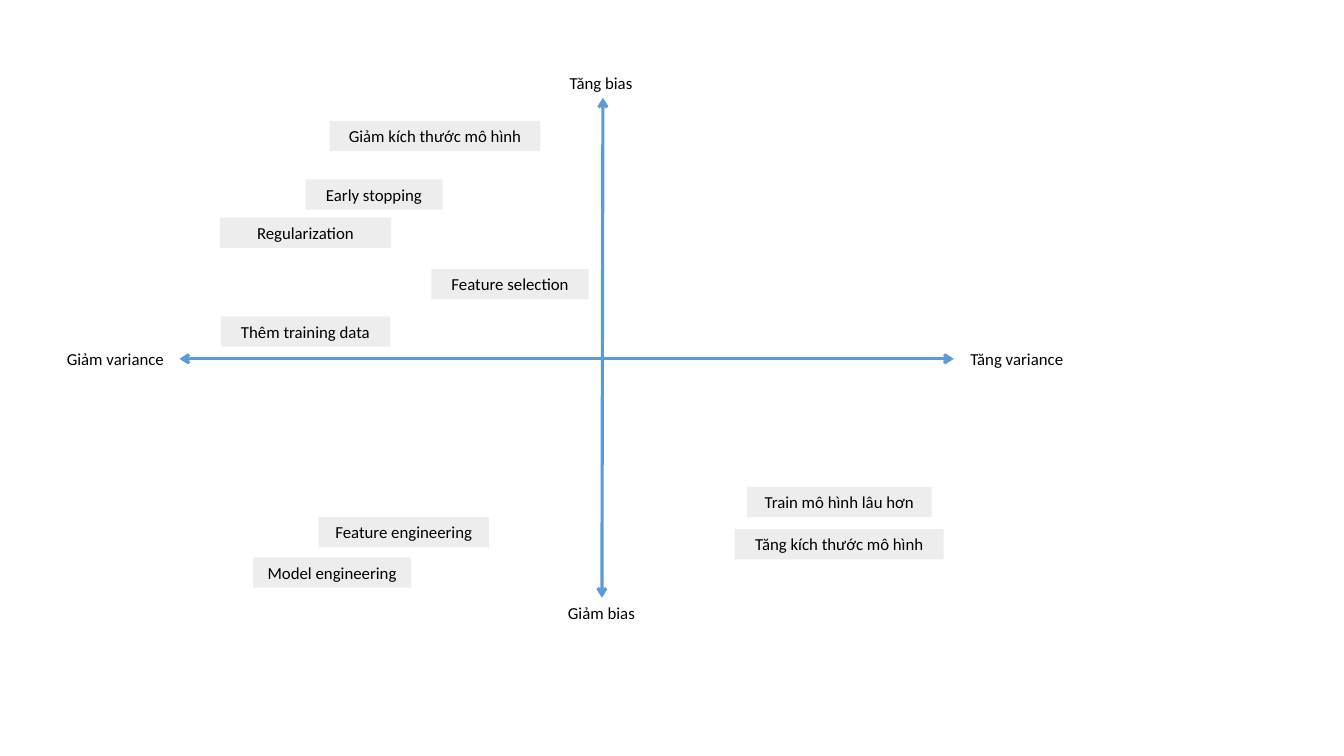
from lxml import etree
from pptx import Presentation
from pptx import util as u
from pptx.dml.color import RGBColor
from pptx.enum import shapes, text
from pptx.oxml import ns

BLACK = RGBColor(0x00, 0x00, 0x00)
GREY = RGBColor(0xED, 0xED, 0xED)
BLUE = RGBColor(0x5B, 0x9B, 0xD5)

prs = Presentation()
prs.slide_width, prs.slide_height = u.Inches(13.33), u.Inches(7.5)
s = prs.slides.add_slide(prs.slide_layouts[6])

# Grid: 133.3 columns by 75 rows; every text box is three rows high
COL, ROW = prs.slide_width / 133.3, prs.slide_height / 75
BOX_ROWS = 3
FRAME = {"word_wrap": True, "auto_size": text.MSO_AUTO_SIZE.SHAPE_TO_FIT_TEXT}
FONT = {"size": u.Pt(12), "name": "Calibri"}


def place(col, row, cols, rows):
    return [round(n) for n in (col * COL, row * ROW, cols * COL, rows * ROW)]


def write(sp, words):
    tf = sp.text_frame
    for key, value in FRAME.items():
        setattr(tf, key, value)
    p = tf.paragraphs[0]
    p.alignment = text.PP_ALIGN.CENTER
    r = p.add_run()
    r.text = words
    for key, value in FONT.items():
        setattr(r.font, key, value)
    r.font.color.rgb = BLACK


# Axes: variance across, bias upwards
for x1, y1, x2, y2 in [(17.8, 35.6, 94.6, 35.6), (59.8, 9.7, 59.7, 59.3)]:
    axis = s.shapes.add_connector(shapes.MSO_CONNECTOR.STRAIGHT, *place(x1, y1, x2, y2))
    axis.line.color.rgb = BLUE
    axis.line.width = u.Pt(2.25)
    ln = axis.line._get_or_add_ln()
    for end in ("a:headEnd", "a:tailEnd"):
        etree.SubElement(ln, ns.qn(end), type="arrow")
    etree.SubElement(axis._element.spPr, ns.qn("a:effectLst"))

# Axis labels: words, column, row, columns wide
for words, col, row, cols in [
    ("Tăng bias ", 54.9, 6.7, 9.8),
    ("Giảm bias", 54.9, 59.3, 9.5),
    ("Tăng variance", 94.6, 34.1, 12.5),
    ("Giảm variance", 5.1, 34.1, 12.7),
]:
    write(s.shapes.add_textbox(*place(col, row, cols, BOX_ROWS)), words)

# Techniques: words, column, row, columns wide
for words, col, row, cols in [
    ("Giảm kích thước mô hình", 32.7, 12, 20.9),
    ("Early stopping", 30.3, 17.8, 13.6),
    ("Regularization", 21.8, 21.6, 17),
    ("Feature selection", 42.8, 26.7, 15.6),
    ("Thêm training data", 21.9, 31.4, 16.8),
    ("Feature engineering", 31.6, 51.3, 16.9),
    ("Model engineering", 25.1, 55.3, 15.7),
    ("Train mô hình lâu hơn", 74.1, 48.3, 18.3),
    ("Tăng kích thước mô hình", 72.9, 52.5, 20.7),
]:
    sp = s.shapes.add_shape(shapes.MSO_SHAPE.RECTANGLE, *place(col, row, cols, BOX_ROWS))
    sp.shadow.inherit = False
    sp.fill.solid()
    sp.fill.fore_color.rgb = GREY
    sp.line.fill.background()
    write(sp, words)

prs.save("out.pptx")
